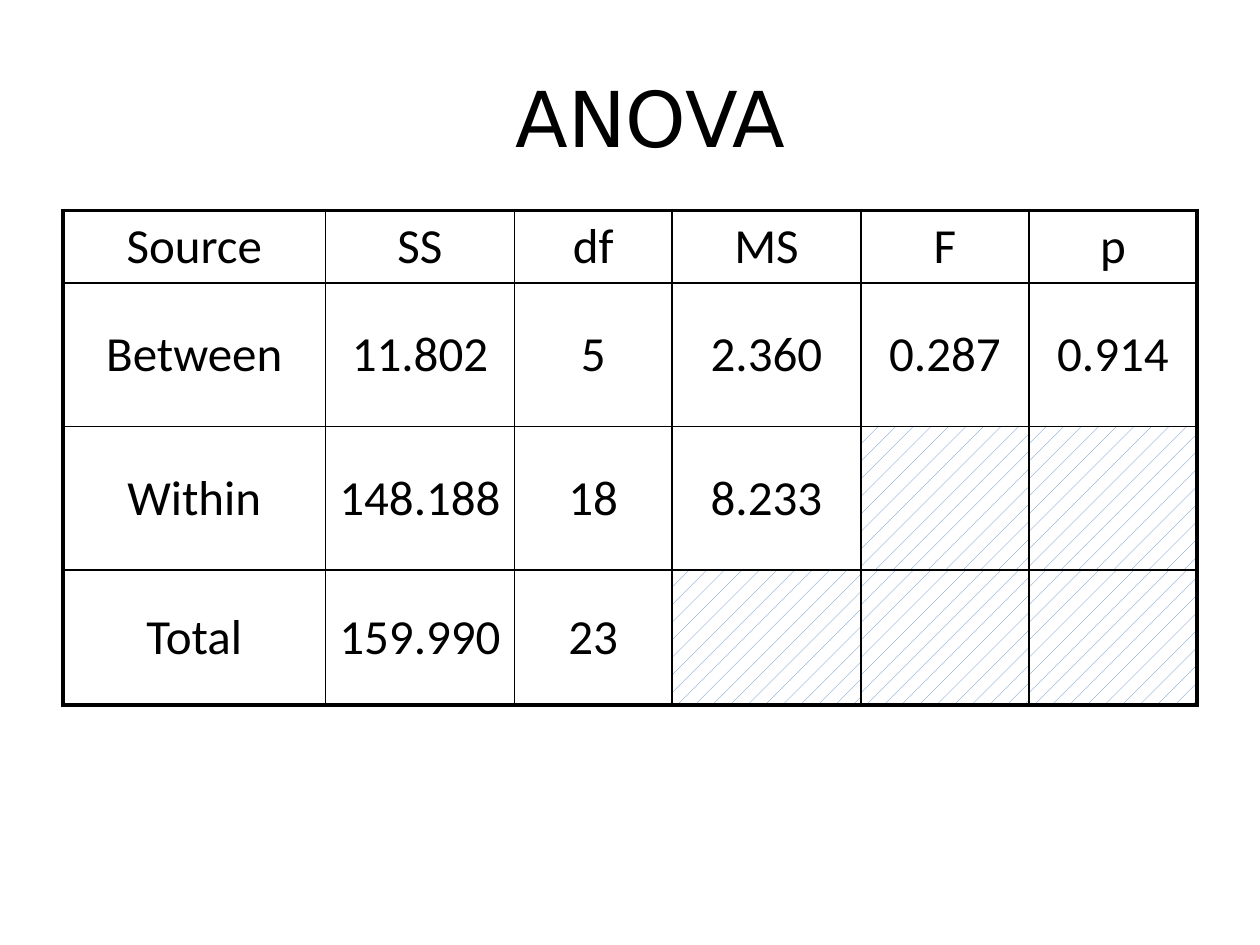
"""Build a slide with an ANOVA summary table."""
from lxml import etree
from pptx import Presentation
from pptx.dml.color import RGBColor
from pptx.enum.dml import MSO_PATTERN
from pptx.enum.text import MSO_ANCHOR, PP_ALIGN
from pptx.oxml.ns import qn
from pptx.util import Inches, Pt

CENTER = PP_ALIGN.CENTER
MIDDLE = MSO_ANCHOR.MIDDLE
DOTTED = MSO_PATTERN.PERCENT_5
BLACK, WHITE, BLUE = "000000", "FFFFFF", "4F81BD"
THIN, THICK = 1, 2.25
UNIT = Inches(1) // 12

COLUMN_UNITS = [25, 18, 15, 18, 16, 16]
ROW_HEIGHTS = [0.57, 1.14, 1.14, 1.07]
ANOVA_ROWS = [
    ["Source", "SS", "df", "MS", "F", "p"],
    ["Between", "11.802", "5", "2.360", "0.287", "0.914"],
    ["Within", "148.188", "18", "8.233", "", ""],
    ["Total", "159.990", "23", "", "", ""],
]


def color(code):
    return RGBColor.from_string(code)


def write(para, text, size, font):
    para.alignment = CENTER
    span = para.add_run()
    span.text = text
    span.font.size = Pt(size)
    span.font.name = font
    span.font.bold = False
    span.font.color.rgb = color(BLACK)


deck = Presentation()
deck.slide_width, deck.slide_height = Inches(10), Inches(7.5)
page = deck.slides.add_slide(deck.slide_layouts[6])

row_count, column_count = len(ROW_HEIGHTS), len(COLUMN_UNITS)
frame = page.shapes.add_table(
    row_count, column_count, Inches(0.5), Inches(1.67),
    UNIT * sum(COLUMN_UNITS), Inches(sum(ROW_HEIGHTS)))
table = frame.table
table.first_row = False
table.horz_banding = False
for column, units in zip(table.columns, COLUMN_UNITS):
    column.width = UNIT * units
for row, height in zip(table.rows, ROW_HEIGHTS):
    row.height = Inches(height)

for r, values in enumerate(ANOVA_ROWS):
    for c, value in enumerate(values):
        cell = table.cell(r, c)
        cell.vertical_anchor = MIDDLE
        outer_sides = {
            "a:lnL": c == 0,
            "a:lnR": c == column_count - 1,
            "a:lnT": r == 0,
            "a:lnB": r == row_count - 1,
        }
        properties = cell._tc.get_or_add_tcPr()
        for side, is_outer in outer_sides.items():
            width = Pt(THICK if is_outer else THIN)
            line = etree.SubElement(properties, qn(side), w=str(width))
            fill = etree.SubElement(line, qn("a:solidFill"))
            etree.SubElement(fill, qn("a:srgbClr"), val=BLACK)
        if value:
            cell.fill.background()
            write(cell.text_frame.paragraphs[0], value, 28, "Calibri")
        else:
            cell.fill.patterned()
            cell.fill.pattern = DOTTED
            cell.fill.fore_color.rgb = color(BLUE)
            cell.fill.back_color.rgb = color(WHITE)

title_box = page.shapes.add_textbox(
    Inches(0.5), Inches(0.3), Inches(9.33), Inches(1.25))
title_box.text_frame.word_wrap = True
title_box.text_frame.vertical_anchor = MIDDLE
write(title_box.text_frame.paragraphs[0], "ANOVA", 44, "DejaVu Sans")

deck.save("out.pptx")
